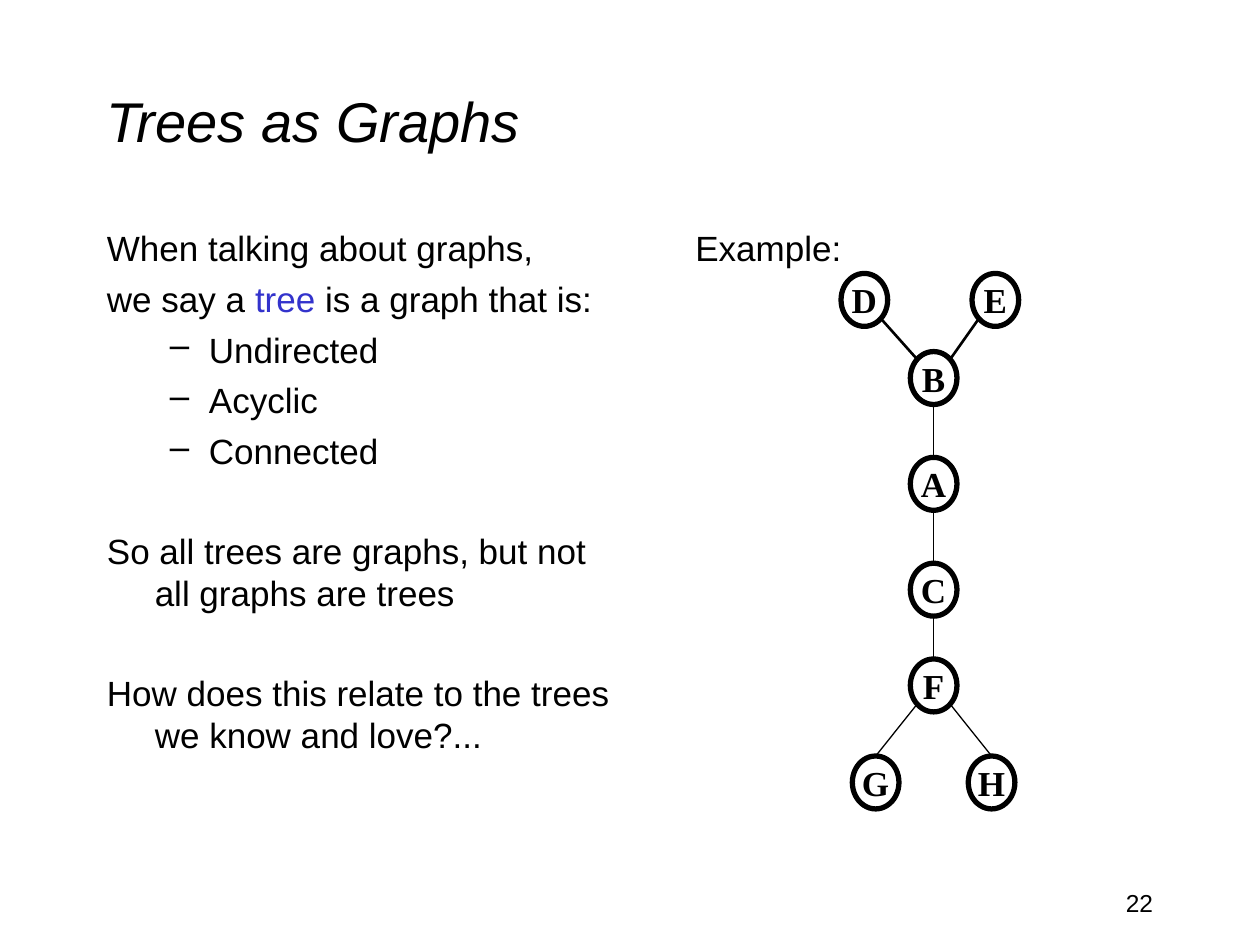
"""Builds the "Trees as Graphs" slide: an explanation beside an example tree."""
from lxml.etree import SubElement
from pptx import Presentation
from pptx.dml.color import RGBColor
from pptx.enum.shapes import MSO_CONNECTOR, MSO_SHAPE
from pptx.enum.text import MSO_ANCHOR, PP_ALIGN
from pptx.oxml.ns import qn
from pptx.util import Inches, Pt

BLACK = RGBColor(0, 0, 0)
BLUE = RGBColor(0x33, 0x33, 0xCC)

TITLE = "Trees as Graphs"
BODY = [
    # runs, bulleted, space before
    ([("When talking about graphs,", BLACK)], False, 0),
    ([("we say a ", BLACK), ("tree", BLUE), (" is a graph that is:", BLACK)], False, 5),
    ([("Undirected", BLACK)], True, 5),
    ([("Acyclic", BLACK)], True, 5),
    ([("Connected", BLACK)], True, 5),
    ([("So all trees are graphs, but not all graphs are trees", BLACK)], False, 33),
    ([("How does this relate to the trees we know and love?...", BLACK)], False, 33),
]
EXAMPLE = "Example:"
PAGE = "22"

AXIS = 7.41
NODES = {
    "D": (AXIS - 0.55, 2.38), "E": (AXIS + 0.49, 2.38),
    "B": (AXIS, 3.0), "A": (AXIS, 3.84), "C": (AXIS, 4.68), "F": (AXIS, 5.44),
    "G": (AXIS - 0.46, 6.21), "H": (AXIS + 0.46, 6.21),
}
NODE_W, NODE_H = 0.37, 0.42
DIAGONAL = 0.71
SITES = {
    "top": (0, -1), "bottom": (0, 1),
    "top left": (-DIAGONAL, -DIAGONAL), "top right": (DIAGONAL, -DIAGONAL),
    "bottom left": (-DIAGONAL, DIAGONAL), "bottom right": (DIAGONAL, DIAGONAL),
}
EDGES = [
    ("B", "top left", "D", "bottom right", 1.5),
    ("B", "top right", "E", "bottom left", 1.5),
    ("A", "top", "B", "bottom", 0.75),
    ("A", "bottom", "C", "top", 0.75),
    ("C", "bottom", "F", "top", 0.75),
    ("F", "bottom left", "G", "top", 0.75),
    ("F", "bottom right", "H", "top", 0.75),
]


def format_run(r, size, color=BLACK, name="Arial", bold=False, italic=False):
    r.font.size, r.font.name = Pt(size), name
    r.font.color.rgb = color
    r.font.bold, r.font.italic = bold, italic


def add_text(s, box, text="", size=20, wrap=True, align=PP_ALIGN.LEFT,
             anchor=MSO_ANCHOR.TOP, italic=False):
    tf = s.shapes.add_textbox(*map(Inches, box)).text_frame
    tf.word_wrap, tf.vertical_anchor = wrap, anchor
    if text:
        p = tf.paragraphs[0]
        p.text, p.alignment = text, align
        format_run(p.runs[0], size, italic=italic)
    return tf


def add_body(s, box):
    tf = add_text(s, box)
    for i, (runs, bulleted, before) in enumerate(BODY):
        p = tf.add_paragraph() if i else tf.paragraphs[0]
        p.space_before = Pt(before)
        margin, indent = (0.81, -0.31) if bulleted else (0.38, -0.38)
        p.level = int(bulleted)
        pPr = p._p.get_or_add_pPr()
        pPr.set("marL", str(Inches(margin)))
        pPr.set("indent", str(Inches(indent)))
        if bulleted:
            SubElement(pPr, qn("a:buChar")).set("char", "–")
        else:
            SubElement(pPr, qn("a:buNone"))
        for text, color in runs:
            r = p.add_run()
            r.text = text
            format_run(r, 20, color)


def site_point(node, site):
    (x, y), (dx, dy) = NODES[node], SITES[site]
    return Inches(x + dx * NODE_W / 2), Inches(y + dy * NODE_H / 2)


def add_edge(s, start, start_site, end, end_site, width):
    line = s.shapes.add_connector(MSO_CONNECTOR.STRAIGHT, *site_point(start, start_site),
                                  *site_point(end, end_site))
    line.line.color.rgb, line.line.width = BLACK, Pt(width)
    SubElement(line._element.spPr, qn("a:effectLst"))


def add_node(s, label, x, y):
    box = (x - NODE_W / 2, y - NODE_H / 2, NODE_W, NODE_H)
    sp = s.shapes.add_shape(MSO_SHAPE.OVAL, *map(Inches, box))
    sp.shadow.inherit = False
    sp.fill.background()
    sp.line.color.rgb, sp.line.width = BLACK, Pt(3)
    tf = sp.text_frame
    tf.word_wrap, tf.vertical_anchor = False, MSO_ANCHOR.MIDDLE
    p = tf.paragraphs[0]
    p.text, p.alignment = label, PP_ALIGN.CENTER
    format_run(p.runs[0], 20, name="Times New Roman", bold=True)


def main():
    prs = Presentation()
    prs.slide_width, prs.slide_height = Inches(10), Inches(7.5)
    s = prs.slides.add_slide(prs.slide_layouts[6])
    add_text(s, (0.75, 0.33, 8.5, 1.25), TITLE, 32, anchor=MSO_ANCHOR.MIDDLE, italic=True)
    add_body(s, (0.75, 1.75, 4.25, 4.92))
    add_text(s, (7.17, 7, 2.08, 0.5), PAGE, 14, align=PP_ALIGN.RIGHT)
    for edge in EDGES:
        add_edge(s, *edge)
    for label, (x, y) in NODES.items():
        add_node(s, label, x, y)
    add_text(s, (5.42, 1.75, 1.37, 0.44), EXAMPLE, wrap=False)
    prs.save("out.pptx")


if __name__ == "__main__":
    main()
